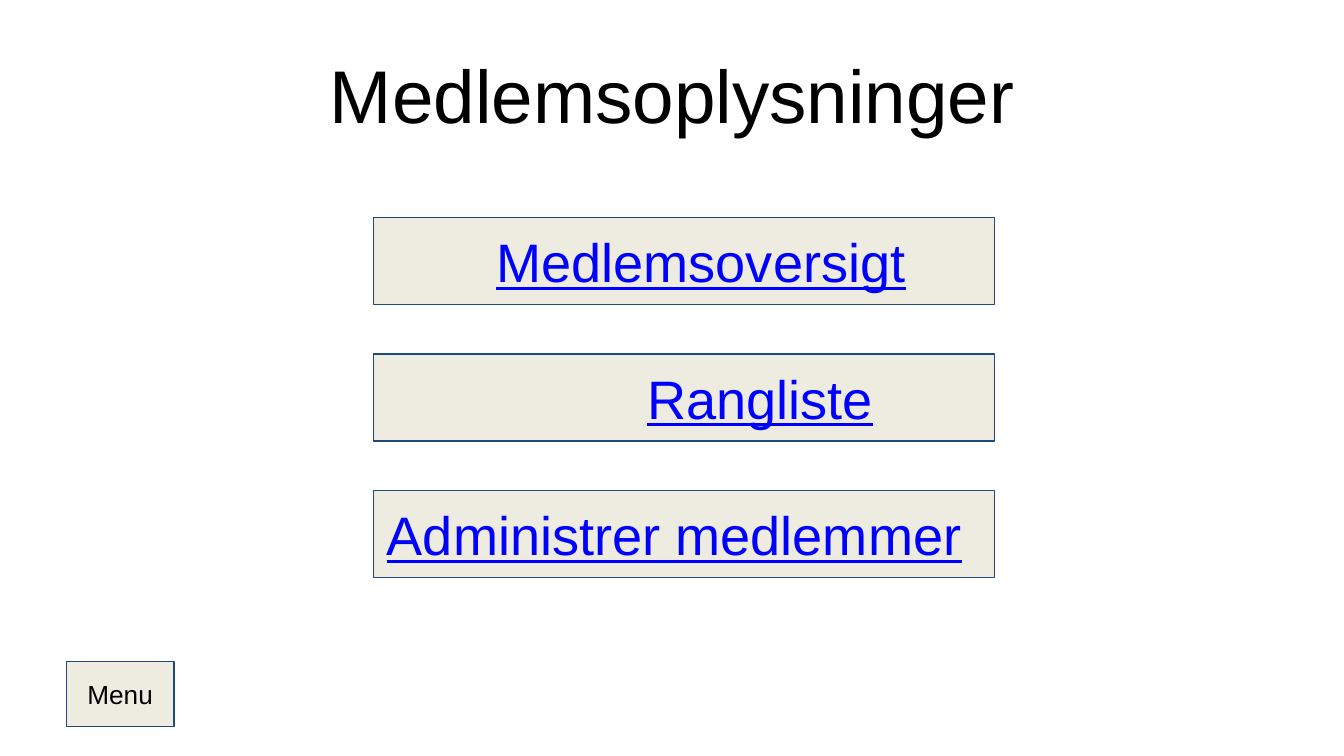
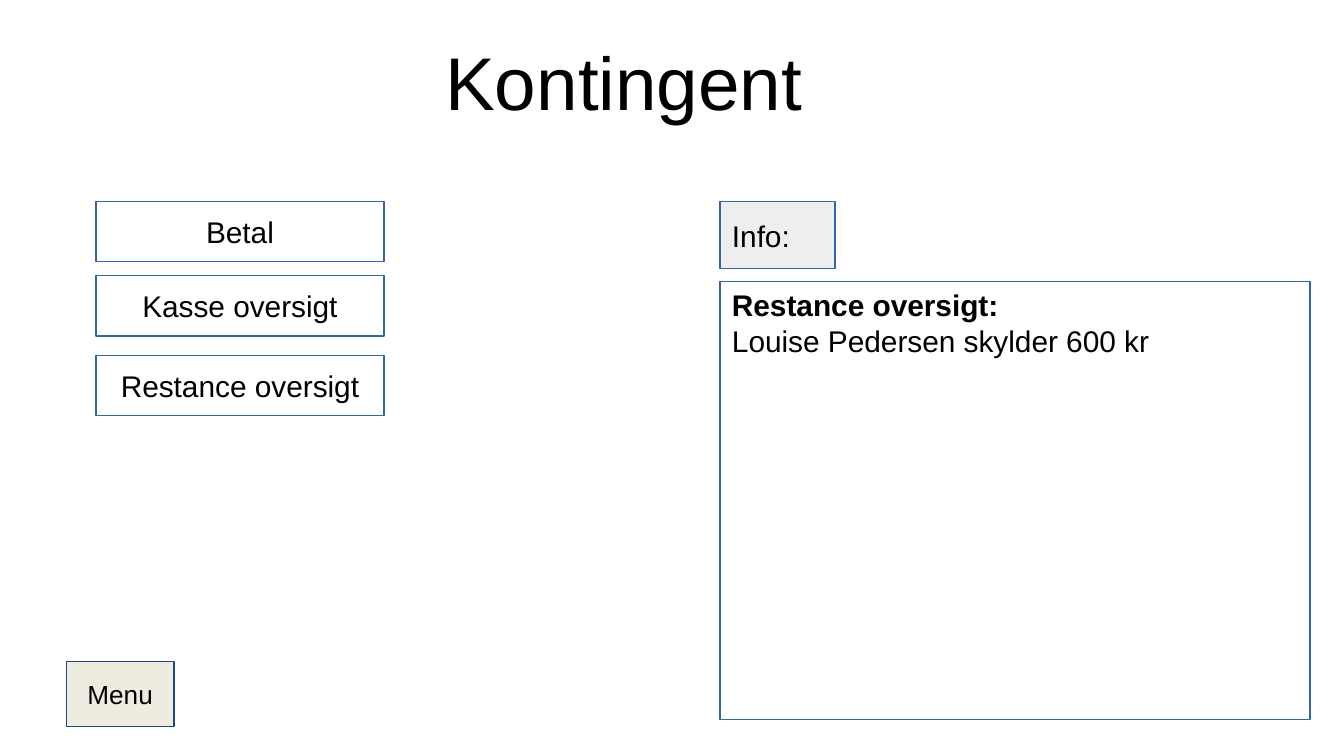
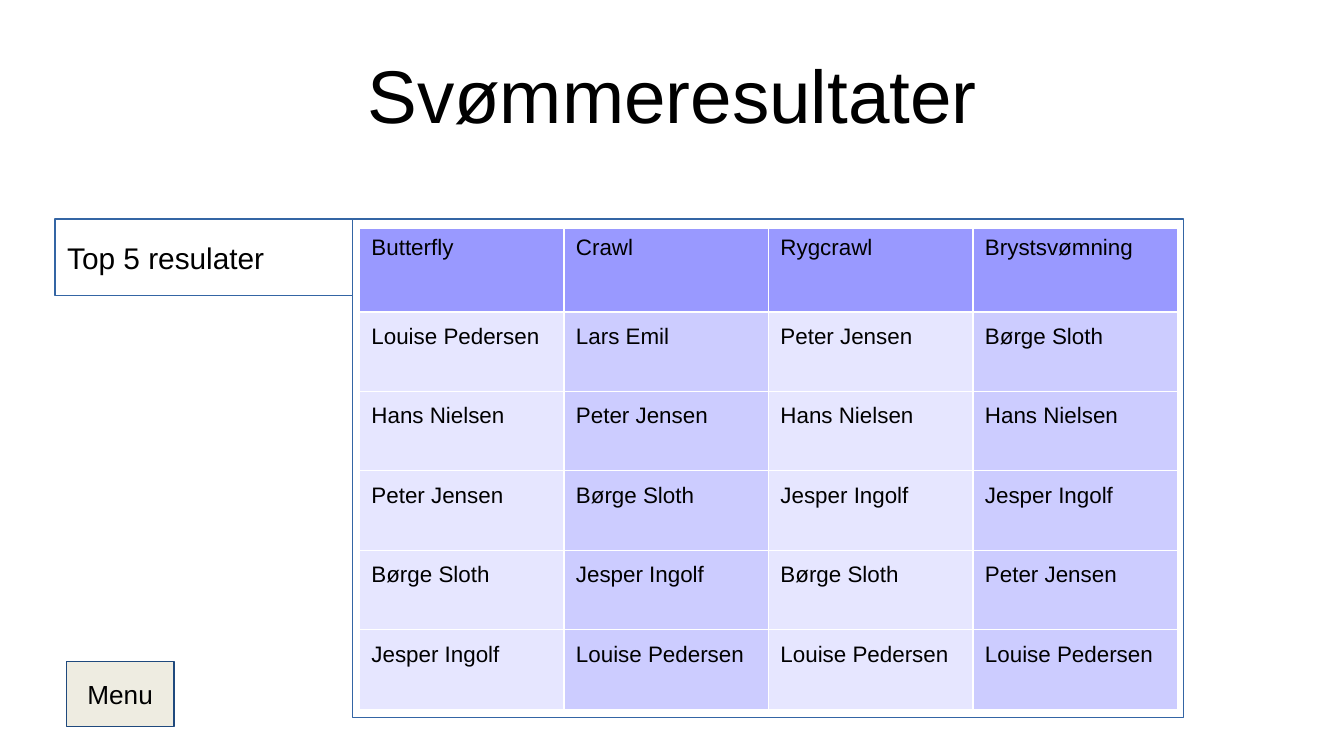
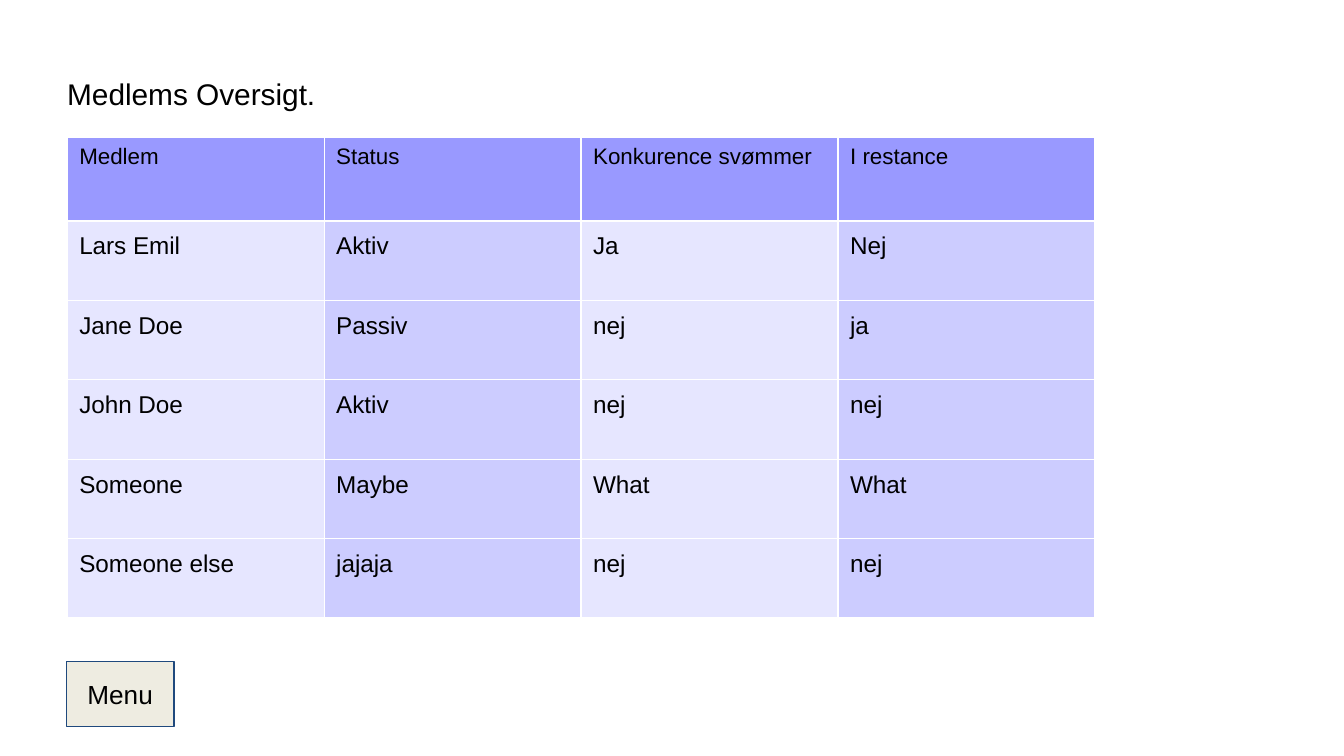
"""Builds four screens of a swimming club's member system."""
from dataclasses import dataclass

from lxml import etree
from pptx import Presentation
from pptx import util as u
from pptx.dml.color import RGBColor
from pptx.enum import shapes, text
from pptx.oxml.ns import qn

SLIDE_WIDTH = 10
SLIDE_HEIGHT = SLIDE_WIDTH * 9 / 16
GRID_COLUMNS = 100
CELL = SLIDE_WIDTH / GRID_COLUMNS  # the grid is square

FONT = "Arial"
BLACK, WHITE, LINK_BLUE = "000000", "FFFFFF", "0000FF"
BEIGE, NAVY = "EEECE1", "1F497D"
LIGHT_GREY, FRAME_BLUE = "EEEEEE", "3465A4"
HEADER_FILL = "9999FF"
COLUMN_FILLS = ("E6E6FF", "CCCCFF")
LINE_WIDTH = 0.75

LEFT, CENTER = text.PP_ALIGN.LEFT, text.PP_ALIGN.CENTER
TOP, MIDDLE = text.MSO_ANCHOR.TOP, text.MSO_ANCHOR.MIDDLE


@dataclass(frozen=True)
class Area:
    """A place on the slide, in grid columns and rows."""
    column: float
    row: float
    columns: float
    rows: float

    def lengths(self) -> tuple:
        """Left, top, width and height as slide lengths."""
        return tuple(map(grid, (self.column, self.row, self.columns, self.rows)))


@dataclass(frozen=True)
class BoxStyle:
    """Fill, outline and text insets (in grid cells) of a box."""
    fill: str
    line: str
    inset_x: float
    inset_y: float


@dataclass(frozen=True)
class LinkButton:
    """A large link and the indent of its label, in grid columns."""
    label: str
    indent: float


BUTTON = BoxStyle(BEIGE, NAVY, 1, 1)
PANEL = BoxStyle(WHITE, FRAME_BLUE, 0.9, 0.4)
INFO = BoxStyle(LIGHT_GREY, FRAME_BLUE, 0.9, 0.4)

TITLE_AREA = Area(5, 2.25, 90, 9.4)
MENU_AREA = Area(4.94, 49.24, 8, 4.8)


def grid(cells: float) -> int:
    """Turn a number of grid cells into a slide length."""
    return u.Inches(cells * CELL)


def color(value: str) -> RGBColor:
    """Turn a hex string into a colour."""
    return RGBColor.from_string(value)


def write_text(frame, content: str, *, size: float, align=LEFT, anchor=MIDDLE,
               ink: str = BLACK, underline: bool = False, bold_lines: int = 0,
               insets: tuple = (0, 0, 0, 0)) -> None:
    """Write one paragraph per line of content; insets run left, top, right, bottom."""
    frame.word_wrap = True
    frame.vertical_anchor = anchor
    (frame.margin_left, frame.margin_top,
     frame.margin_right, frame.margin_bottom) = map(grid, insets)
    for index, line in enumerate(content.split("\n")):
        paragraph = frame.add_paragraph() if index else frame.paragraphs[0]
        paragraph.alignment = align
        run = paragraph.add_run()
        run.text = line
        run.font.name = FONT
        run.font.size = u.Pt(size)
        run.font.color.rgb = color(ink)
        run.font.bold = index < bold_lines
        run.font.underline = underline


def add_title(slide, content: str, area: Area = TITLE_AREA, **text_format) -> None:
    """Add a slide title, large and centred unless told otherwise."""
    shape = slide.shapes.add_textbox(*area.lengths())
    write_text(shape.text_frame, content, **{"size": 40, "align": CENTER, **text_format})


def add_box(slide, area: Area, style: BoxStyle, content: str = "",
            indent: float = 0, **text_format) -> None:
    """Add an outlined rectangle, with text if there is any."""
    shape = slide.shapes.add_shape(shapes.MSO_SHAPE.RECTANGLE, *area.lengths())
    shape.shadow.inherit = False
    shape.fill.solid()
    shape.fill.fore_color.rgb = color(style.fill)
    shape.line.color.rgb = color(style.line)
    shape.line.width = u.Pt(LINE_WIDTH)
    if content:
        insets = (style.inset_x + indent, style.inset_y, style.inset_x, style.inset_y)
        write_text(shape.text_frame, content, insets=insets, **text_format)


def add_menu_button(slide) -> None:
    """Add the menu button that every screen has."""
    add_box(slide, MENU_AREA, BUTTON, "Menu", size=14, align=CENTER)


def add_cell_borders(cell, line: str) -> None:
    """Give a table cell the same border on all sides."""
    properties = cell._tc.get_or_add_tcPr()
    for side in ("a:lnL", "a:lnR", "a:lnT", "a:lnB"):
        border = etree.SubElement(properties, qn(side), w=str(u.Pt(LINE_WIDTH)))
        fill = etree.SubElement(border, qn("a:solidFill"))
        etree.SubElement(fill, qn("a:srgbClr"), val=line)


def add_member_table(slide, column: float, row: float, column_width: float,
                     records: list, body_size: float) -> None:
    """Add a table with a header row and columns in alternating fills."""
    header_height, row_height = 6.22, 5.91
    area = Area(column, row, column_width * len(records[0]),
                header_height + row_height * (len(records) - 1))
    table = slide.shapes.add_table(len(records), len(records[0]), *area.lengths()).table
    table.first_row = table.horz_banding = False
    for table_column in table.columns:
        table_column.width = grid(column_width)
    for row_index, record in enumerate(records):
        is_header = row_index == 0
        table.rows[row_index].height = grid(header_height if is_header else row_height)
        inset_y = 0.47 if is_header else 0.9
        for column_index, value in enumerate(record):
            cell = table.cell(row_index, column_index)
            add_cell_borders(cell, WHITE)
            cell.fill.solid()
            cell.fill.fore_color.rgb = color(
                HEADER_FILL if is_header else COLUMN_FILLS[column_index % 2])
            write_text(cell.text_frame, value, size=12 if is_header else body_size,
                       anchor=TOP)
            cell.margin_left = cell.margin_right = grid(0.9)
            cell.margin_top = cell.margin_bottom = grid(inset_y)


def build_member_info(slide) -> None:
    """Member information: three large links."""
    add_title(slide, "Medlemsoplysninger")
    links = (LinkButton("Medlemsoversigt", 8.13), LinkButton("Rangliste", 19.37),
             LinkButton("Administrer medlemmer", 0))
    for index, link in enumerate(links):
        add_box(slide, Area(27.8, 16.18 + 10.15 * index, 46.2, 6.48), BUTTON, link.label,
                indent=link.indent, size=29, ink=LINK_BLUE, underline=True)


def build_fees(slide) -> None:
    """Membership fees: actions on the left, the arrears panel on the right."""
    panel_column, top_row = 53.56, 15
    add_box(slide, Area(panel_column, 20.94, 43.9, 32.62), PANEL,
            "Restance oversigt:\nLouise Pedersen skylder 600 kr",
            size=16, anchor=TOP, bold_lines=1, )
    add_title(slide, "Kontingent", Area(1.4, 1.3, 90, 9.4))
    actions = {"Betal": top_row, "Restance oversigt": 26.44, "Kasse oversigt": 20.52}
    for label, row in actions.items():
        add_box(slide, Area(7.14, row, 21.43, 4.48), PANEL, label, size=16, align=CENTER)
    add_box(slide, Area(panel_column, top_row, 8.57, 5), INFO, "Info:", size=16)


def build_results(slide) -> None:
    """Swimming results: the top five of each stroke."""
    add_title(slide, "Svømmeresultater")
    frame = Area(26.23, 16.3, 61.84, 37.12)
    add_box(slide, frame, PANEL)
    add_box(slide, Area(4.1, frame.row, 22.13, 5.7), PANEL, "Top 5 resulater", size=16)
    add_member_table(slide, 26.74, 17, 15.22, [
        ("Butterfly", "Crawl", "Rygcrawl", "Brystsvømning"),
        ("Louise Pedersen", "Lars Emil", "Peter Jensen", "Børge Sloth"),
        ("Hans Nielsen", "Peter Jensen", "Hans Nielsen", "Hans Nielsen"),
        ("Peter Jensen", "Børge Sloth", "Jesper Ingolf", "Jesper Ingolf"),
        ("Børge Sloth", "Jesper Ingolf", "Børge Sloth", "Peter Jensen"),
        ("Jesper Ingolf", "Louise Pedersen", "Louise Pedersen", "Louise Pedersen"),
    ], body_size=12)


def build_member_list(slide) -> None:
    """Member overview: status of each member."""
    add_title(slide, "Medlems Oversigt.", size=16, align=LEFT)
    add_member_table(slide, TITLE_AREA.column, 10.22, 19.12, [
        ("Medlem", "Status", "Konkurence svømmer", "I restance"),
        ("Lars Emil", "Aktiv", "Ja", "Nej"),
        ("Jane Doe", "Passiv", "nej", "ja"),
        ("John Doe", "Aktiv", "nej", "nej"),
        ("Someone", "Maybe", "What", "What"),
        ("Someone else", "jajaja", "nej", "nej"),
    ], body_size=13)


def main() -> None:
    """Build every screen and save the presentation."""
    presentation = Presentation()
    presentation.slide_width = u.Inches(SLIDE_WIDTH)
    presentation.slide_height = u.Inches(SLIDE_HEIGHT)
    blank_layout = presentation.slide_layouts[6]
    for build in (build_member_info, build_fees, build_results, build_member_list):
        slide = presentation.slides.add_slide(blank_layout)
        build(slide)
        add_menu_button(slide)
    presentation.save("out.pptx")


main()
